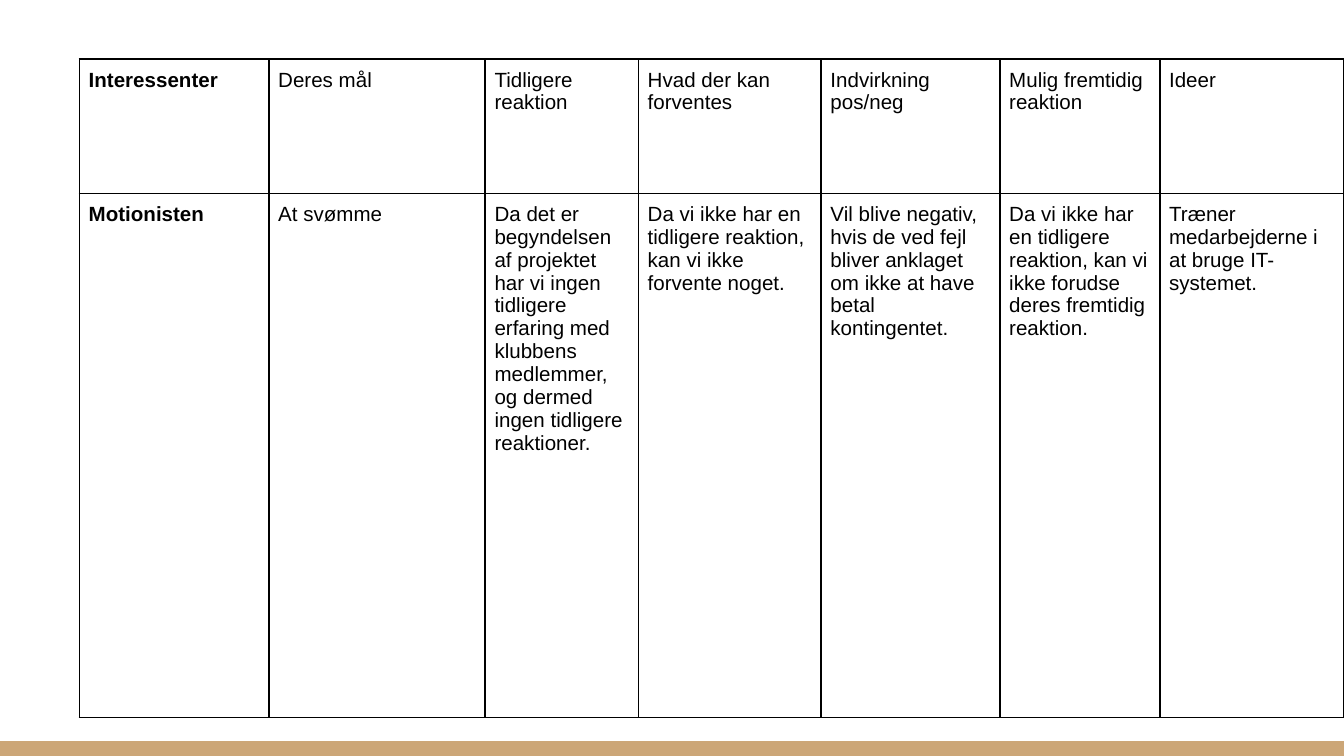
from lxml.etree import SubElement
from pptx import Presentation
from pptx.dml.color import RGBColor
from pptx.enum.shapes import MSO_SHAPE as Kind
from pptx.oxml.ns import qn
from pptx.util import Inches as In, Pt

WIDE = 10
RATIO = (16, 9)
BAND = 0.11
LEFT, TOP = 0.59, 0.44
COLS = [1.41, 1.61, 1.14, 1.36, 1.33, 1.19, 1.37]
ROWS = [1, 3.9]
HEADS = [
    "Interessenter", "Deres mål", "Tidligere reaktion", "Hvad der kan forventes",
    "Indvirkning\npos/neg", "Mulig fremtidig\nreaktion", "Ideer",
]
GOALS = [
    "Motionisten",
    "At svømme",
    "Da det er begyndelsen af projektet har vi ingen tidligere erfaring med "
    "klubbens medlemmer, og dermed ingen tidligere reaktioner.",
    "Da vi ikke har en tidligere reaktion, kan vi ikke forvente noget.",
    "Vil blive negativ, hvis de ved fejl bliver anklaget om ikke at have betal "
    "kontingentet.",
    "Da vi ikke har en tidligere reaktion, kan vi ikke forudse deres fremtidig "
    "reaktion.",
    "Træner medarbejderne i at bruge IT-systemet.",
]
FONT = {"name": "Arial", "size": Pt(11)}
PADS = {f"margin_{side}": In(0.07) for side in ("left", "right", "top", "bottom")}


def paint(fill, tone):
    """Give a fill one solid colour."""
    fill.solid()
    fill.fore_color.rgb = RGBColor.from_string(tone)


def apply(item, form):
    """Set each attribute named in a dict of format values."""
    for key, val in form.items():
        setattr(item, key, val)


def frame(cell, tone="000000", wide=1):
    """Draw a solid line on all four sides of a cell."""
    props = cell._tc.get_or_add_tcPr()
    for spot, side in enumerate(("lnL", "lnR", "lnT", "lnB")):
        line = SubElement(props, qn(f"a:{side}"), w=str(Pt(wide)))
        props.insert(spot, line)
        SubElement(SubElement(line, qn("a:solidFill")), qn("a:srgbClr"), val=tone)


def write(cell, text, bold):
    """Fill a cell with text in the table's style."""
    cell.text = text
    apply(cell, PADS)
    cell.fill.background()
    for para in cell.text_frame.paragraphs:
        for run in para.runs:
            apply(run.font, {**FONT, "bold": bold})
            paint(run.font.fill, "000000")
    frame(cell)


def main():
    """Build the stakeholder slide."""
    deck = Presentation()
    wide = In(WIDE)
    high = wide * RATIO[1] // RATIO[0]
    deck.slide_width, deck.slide_height = wide, high
    slide = deck.slides.add_slide(deck.slide_layouts[6])
    paint(slide.background.fill, "FFFFFF")

    band = slide.shapes.add_shape(Kind.RECTANGLE, 0, high - In(BAND), wide, In(BAND))
    band.shadow.inherit = False
    band.line.fill.background()
    paint(band.fill, "CCA677")

    area = map(In, (LEFT, TOP, sum(COLS), sum(ROWS)))
    table = slide.shapes.add_table(len(ROWS), len(COLS), *area).table
    apply(table, {"first_row": False, "horz_banding": False})
    for col, size in zip(table.columns, COLS):
        col.width = In(size)
    for row, size, texts in zip(table.rows, ROWS, (HEADS, GOALS)):
        row.height = In(size)
        for spot, (cell, text) in enumerate(zip(row.cells, texts)):
            write(cell, text, spot == 0)
    deck.save("out.pptx")


if __name__ == "__main__":
    main()
